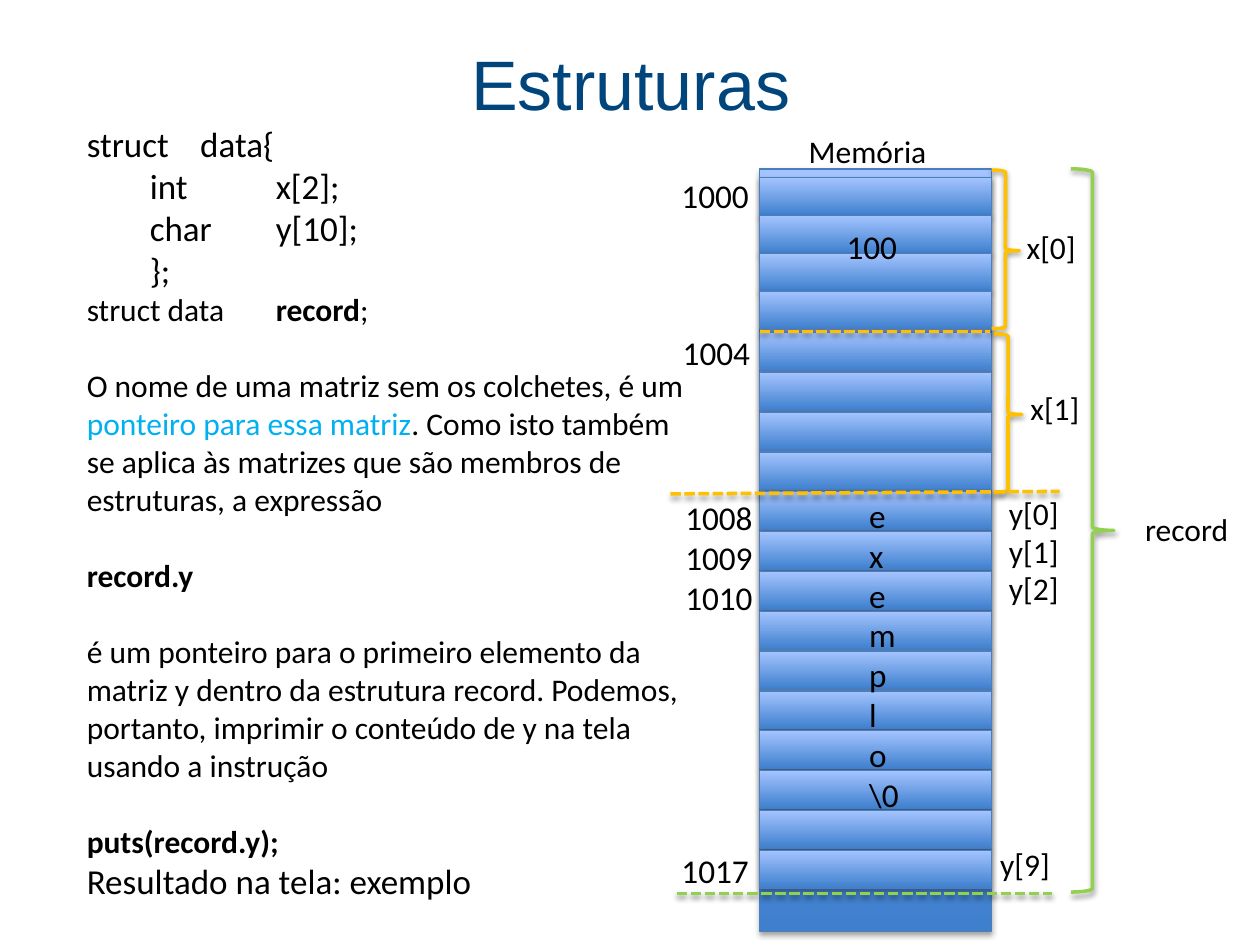
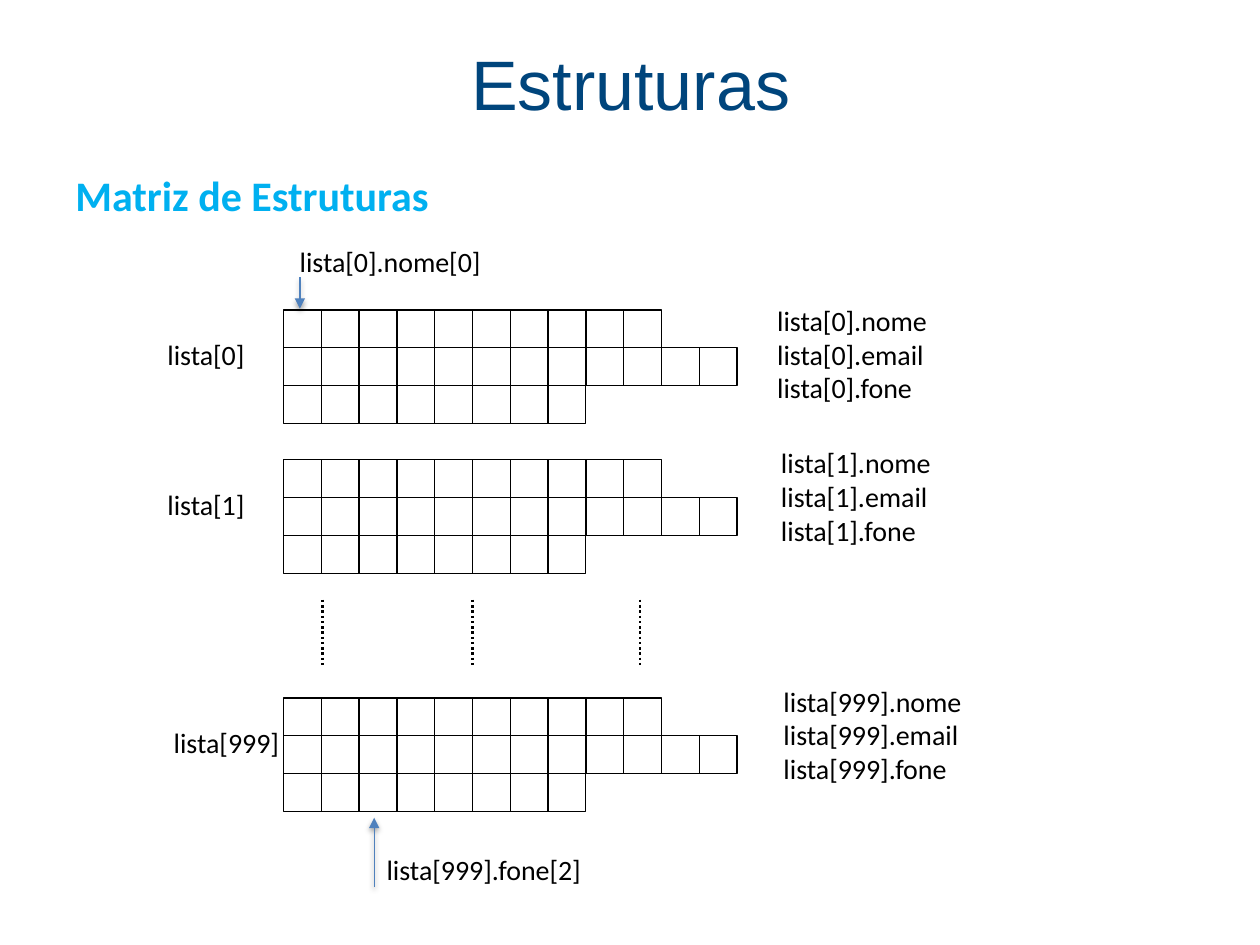
from lxml import etree
from pptx import Presentation
from pptx.dml.color import RGBColor
from pptx.enum.dml import MSO_LINE
from pptx.enum.shapes import MSO_CONNECTOR, MSO_SHAPE
from pptx.enum.text import MSO_ANCHOR, PP_ALIGN
from pptx.oxml.ns import qn
from pptx.util import Inches, Pt

RECT, BRACE = MSO_SHAPE.RECTANGLE, MSO_SHAPE.RIGHT_BRACE
LINE = MSO_CONNECTOR.STRAIGHT
DASH, DOT = MSO_LINE.SQUARE_DOT, MSO_LINE.ROUND_DOT
LEFT, CENTER = PP_ALIGN.LEFT, PP_ALIGN.CENTER
TOP, MIDDLE = MSO_ANCHOR.TOP, MSO_ANCHOR.MIDDLE

NAVY = RGBColor(0x00, 0x45, 0x7C)
SKY = RGBColor(0x00, 0xB0, 0xF0)
BLACK = RGBColor(0x00, 0x00, 0x00)
WHITE = RGBColor(0xFF, 0xFF, 0xFF)
DEEP = RGBColor(0x3F, 0x80, 0xCE)
PALE = RGBColor(0xA4, 0xC4, 0xFF)
EDGE = RGBColor(0x4B, 0x7E, 0xBC)
STEEL = RGBColor(0x4F, 0x81, 0xBD)
AMBER = RGBColor(0xFF, 0xC0, 0x00)
GREEN = RGBColor(0x92, 0xD0, 0x50)

# The slide is a grid of 100 columns by 75 rows
WIDTH, HEIGHT = Inches(10), Inches(7.5)
COL, ROW = WIDTH / 100, HEIGHT / 75

BASE = {"name": "Calibri", "size": Pt(18), "bold": False, "color": BLACK}
TITLE = {"name": "Arial", "size": Pt(40), "color": NAVY}
HEAD = {"size": Pt(24), "bold": True, "color": SKY}
LARGE = {"size": Pt(20)}
DATA = {"size": Pt(19)}
SMALL = {"size": Pt(16)}
BOLD = {"bold": True}
BLANK = Pt(22)      # height of one skipped line of body text


def place(x, y, w, h):
    return round(x * COL), round(y * ROW), round(w * COL), round(h * ROW)


# --- Text ---

def style(font, form):
    for key, value in {**BASE, **form}.items():
        if key == "color":
            font.color.rgb = value
        else:
            setattr(font, key, value)


def fill_par(par, runs, form):
    """Runs are one string, or a list of strings and (string, form) pairs."""
    for part in [runs] if isinstance(runs, str) else runs:
        words, extra = (part, {}) if isinstance(part, str) else part
        run = par.add_run()
        run.text = words
        style(run.font, {**form, **extra})


def add_text(slide, area, pars, form, align=LEFT, anchor=TOP):
    frame = slide.shapes.add_textbox(*place(*area)).text_frame
    frame.word_wrap = True
    frame.vertical_anchor = anchor
    for i, runs in enumerate(pars):
        par = frame.paragraphs[0] if i == 0 else frame.add_paragraph()
        par.alignment = align
        fill_par(par, runs, form)
    return frame


def set_tabs(par, stops):
    tabs = etree.SubElement(par._p.get_or_add_pPr(), qn("a:tabLst"))
    for stop in stops:
        etree.SubElement(tabs, qn("a:tab"), pos=str(round(stop * COL)), algn="l")


# --- Shapes and lines ---

def shade(shape, dark=0):
    """Set the outer shadow; without a darkness there is none."""
    effects = etree.SubElement(shape._element.spPr, qn("a:effectLst"))
    if dark:
        drop = etree.SubElement(
            effects, qn("a:outerShdw"), blurRad=str(Pt(3.1)),
            dist=str(Pt(1.7)), dir="5400000", rotWithShape="0")
        tone = etree.SubElement(drop, qn("a:srgbClr"), val="000000")
        etree.SubElement(tone, qn("a:alpha"), val=str(dark * 1000))


def stroke(shape, color, width, dash=None):
    shape.line.color.rgb = color
    shape.line.width = Pt(width)
    if dash:
        shape.line.dash_style = dash


def add_line(slide, start, end, color=BLACK, width=0.75, dash=None,
             dark=0, arrow=False):
    (x1, y1), (x2, y2) = start, end
    line = slide.shapes.add_connector(
        LINE, *place(x1, y1, x2, y2))
    stroke(line, color, width, dash)
    if arrow:
        etree.SubElement(line.line._get_or_add_ln(), qn("a:tailEnd"),
                         type="triangle")
    shade(line, dark)


def add_cell(slide, area):
    """A memory cell, light at the top and dark at the bottom."""
    cell = slide.shapes.add_shape(RECT, *place(*area))
    cell.fill.gradient()
    cell.fill.gradient_angle = 90
    for stop, color in zip(cell.fill.gradient_stops, (DEEP, PALE)):
        stop.color.rgb = color
    stroke(cell, EDGE, 0.75)
    shade(cell, 35)


def add_brace(slide, area, color, middle=0.5):
    brace = slide.shapes.add_shape(BRACE, *place(*area))
    brace.adjustments[0], brace.adjustments[1] = 0.083, middle
    brace.fill.background()
    stroke(brace, color, 2)
    shade(brace, 38)


def add_record(slide, x, y, step=3):
    """Rows for nome, email and fone, cut into one cell per character."""
    for row, count in enumerate((10, 12, 8)):
        bar = slide.shapes.add_shape(
            RECT, *place(x, y + row * step, count * step, step))
        bar.fill.solid()
        bar.fill.fore_color.rgb = WHITE
        stroke(bar, BLACK, 0.75)
        shade(bar)
    for i in range(1, 12):
        first, last = (0 if i < 10 else 1), (3 if i < 8 else 2)
        left = x + i * step
        add_line(slide, (left, y + first * step), (left, y + last * step))


# --- Slides ---

def new_slide(deck):
    slide = deck.slides.add_slide(deck.slide_layouts[6])
    add_text(slide, (3.5, 0.3, 93.1, 12.5), ["Estruturas"], TITLE,
             CENTER, MIDDLE)
    return slide


def add_prose(slide):
    code = [
        "struct\tdata{",
        "\tint\t\tx[2];",
        "\tchar\t\ty[10];",
        "\t};",
    ]
    prose = [
        ["struct data\t", ("record", BOLD), ";"],
        ["O nome de uma matriz sem os colchetes, é um ",
         ("ponteiro para essa matriz", {"color": SKY}),
         ". Como isto também se aplica às matrizes que são membros de "
         "estruturas, a expressão"],
        [("record.y", BOLD)],
        "é um ponteiro para o primeiro elemento da matriz y dentro da "
        "estrutura record. Podemos, portanto, imprimir o conteúdo de y na "
        "tela usando a instrução",
        [("puts(record.y);", BOLD)],
    ]
    large = [[(words, LARGE)] for words in code]
    result = [[("Resultado na tela: exemplo", LARGE)]]
    frame = add_text(slide, (5.9, 9.2, 50.5, 75 - 9.2),
                     large + prose + result, {})
    pars = frame.paragraphs
    for par in pars[5:9]:
        par.space_before = BLANK
    set_tabs(pars[0], [9])
    for par in pars[1:5]:
        set_tabs(par, [5, 10, 15])


def memory_slide(deck):
    slide = new_slide(deck)
    add_prose(slide)

    # Memory column: four cells of x[0], then x[1] and y
    left, wide, high = 60.3, 18.4, 3
    add_cell(slide, (left, 13.4, wide, 60.5))
    tops = [14.1 + 3 * i for i in range(4)]
    tops += [26.4 + 3.16 * i for i in range(14)]
    for top in tops:
        add_cell(slide, (left, top, wide, high))

    # Braces and borders between the members
    add_brace(slide, (78.7, 13.5, 2.2, 12.6), AMBER, 0.508)
    add_brace(slide, (78.9, 26.5, 2.2, 12.6), AMBER, 0.508)
    add_brace(slide, (85, 13.4, 3.4, 57.4), GREEN)
    for start, end, color in (
            ((53.7, 70.9), (83.5, 70.9), GREEN),
            ((53.2, 39.2), (84.1, 39), AMBER),
            ((60.3, 26.3), (78.6, 26.3), AMBER)):
        add_line(slide, start, end, color, 2, DASH, 38)

    # Names of the members
    for x, y, w, names in (
            (63.2, 10, 19.1, ["Memória"]),
            (80.5, 17.6, 8.4, ["x[0]"]),
            (80.8, 30.4, 8.4, ["x[1]"]),
            (79.1, 38.7, 8.4, ["y[0]", "y[1]", "y[2]"]),
            (78.4, 66.6, 8.4, ["y[9]"]),
            (89.9, 40, 8.8, ["record"])):
        add_text(slide, (x, y, w, 4 * len(names)), names, {})

    # Addresses and stored values
    for x, y, values in (
            (53.1, 13.4, ["1000"]),
            (53.2, 25.9, ["1004"]),
            (53.4, 39, ["1008", "1009", "1010"]),
            (53.1, 67, ["1017"]),
            (66.2, 17.5, ["100"]),
            (68, 38.8, [*"exemplo", "\\0"])):
        add_text(slide, (x, y, 8.5, 4.2 * len(values)), values, DATA)


def array_slide(deck):
    slide = new_slide(deck)
    add_text(slide, (5, 13, 90, 6), ["Matriz de Estruturas"], HEAD)

    # Records with their index on the left and fields on the right
    for index, top, side, right, upper in (
            (0, 24.6, 12.3, 60.7, 23.6),
            (1, 36.5, 12.3, 61, 34.9),
            (999, 55.4, 12.8, 61.2, 53.8)):
        name = f"lista[{index}]"
        add_record(slide, 22.5, top)
        add_text(slide, (side, top + 1.7, 16.5, 3.7), [name], SMALL)
        fields = [f"{name}.{field}" for field in ("nome", "email", "fone")]
        add_text(slide, (right, upper, 20, 9.1), fields, SMALL)

    # Records left out between 1 and 999
    for x in (25.6, 37.5, 50.8):
        add_line(slide, (x, 47.6), (x, 52.9), width=1.5, dash=DOT)

    # Pointers to single characters
    for area, words, start, end in (
            ((22.8, 18.9, 20, 3.7), "lista[0].nome[0]",
             (23.8, 22), (23.8, 24.5)),
            ((29.7, 67.2, 20.4, 3.7), "lista[999].fone[2]",
             (29.7, 70.4), (29.7, 64.9))):
        add_text(slide, area, [words], SMALL)
        add_line(slide, start, end, STEEL, dark=38, arrow=True)


def main():
    deck = Presentation()
    deck.slide_width, deck.slide_height = WIDTH, HEIGHT
    memory_slide(deck)
    array_slide(deck)
    deck.save("out.pptx")


if __name__ == "__main__":
    main()
